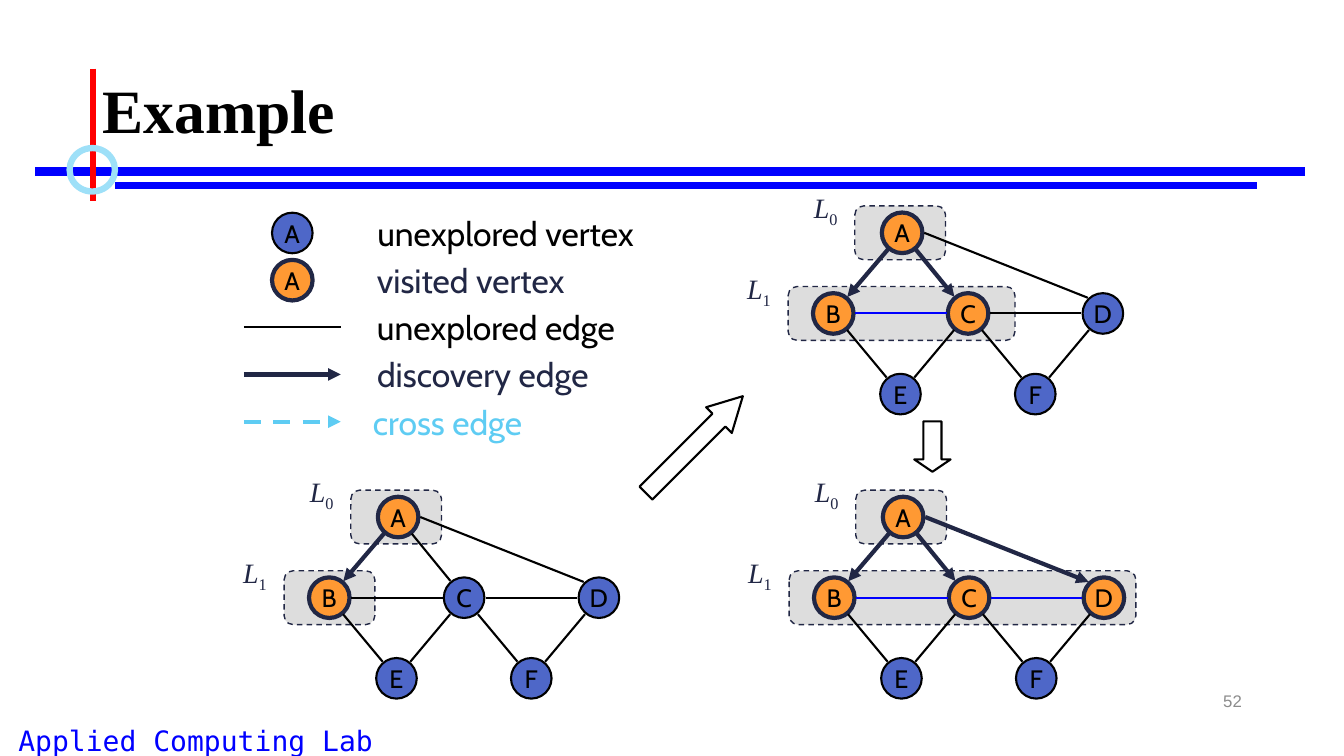
from dataclasses import dataclass
from math import hypot

from lxml import etree
from pptx import Presentation
from pptx.dml.color import RGBColor
from pptx.enum.dml import MSO_LINE
from pptx.enum.shapes import MSO_CONNECTOR, MSO_SHAPE
from pptx.enum.text import MSO_ANCHOR, PP_ALIGN
from pptx.oxml.ns import qn
from pptx.util import Pt

STRAIGHT = MSO_CONNECTOR.STRAIGHT
OVAL, ROUNDED = MSO_SHAPE.OVAL, MSO_SHAPE.ROUNDED_RECTANGLE
RIGHT_ARROW = MSO_SHAPE.RIGHT_ARROW
DASH = MSO_LINE.DASH
TOP, MIDDLE = MSO_ANCHOR.TOP, MSO_ANCHOR.MIDDLE
LEFT, CENTER, RIGHT = PP_ALIGN.LEFT, PP_ALIGN.CENTER, PP_ALIGN.RIGHT

BLACK, NAVY, BLUE, RED = "000000", "212745", "0000FF", "FF0000"
INDIGO, ORANGE, GRAY, SKY = "4E67C8", "FF9933", "DDDDDD", "5ECCF3"
SERIF, SANS = "Times New Roman", "Cabin"


@dataclass(frozen=True)
class Stroke:
    color: str
    width: float
    dashed: bool = False
    arrow: bool = False


@dataclass(frozen=True)
class LegendRow:
    text: str
    left: float
    width: float
    color: str


@dataclass(frozen=True)
class Graph:
    """One search step, placed by the centre of vertex A."""
    x: float
    y: float
    visited: str
    discovery: tuple[str, ...]
    same_level: tuple[str, ...]
    level_one_width: float


UNEXPLORED = Stroke(BLACK, 1.5)
DISCOVERY = Stroke(NAVY, 3, arrow=True)
CROSS = Stroke(SKY, 3, dashed=True, arrow=True)
SAME_LEVEL = Stroke(BLUE, 1.5)
LEVEL_BORDER = Stroke(NAVY, 1, dashed=True)

DIAMETER = 29
EDGE_GAP = 15.4
LEVEL_STEP = 57.6
VERTICES = {
    "A": (0, 0),
    "B": (-49.2, LEVEL_STEP), "C": (47.1, LEVEL_STEP), "D": (143.4, LEVEL_STEP),
    "E": (-1.2, 2 * LEVEL_STEP), "F": (95.1, 2 * LEVEL_STEP),
}
EDGES = ("AB", "AC", "AD", "BC", "CD", "BE", "CE", "CF", "DF")
LEVEL_LEFTS = (-33.8, -81.4)
LEVEL_ZERO_WIDTH, LEVEL_HEIGHT = 64.8, 38.4

GRAPHS = (
    Graph(284.4, 369.3, "AB", ("AB",), (), 64.8),
    Graph(644.4, 166.3, "ABC", ("AB", "AC"), ("BC",), 162),
    Graph(645.1, 369.3, "ABCD", ("AB", "AC", "AD"), ("BC", "CD"), 247.7),
)
LEGEND = (
    LegendRow("unexplored vertex", 258.5, 205.2, BLACK),
    LegendRow("visited vertex", 258.5, 155.5, NAVY),
    LegendRow("unexplored edge", 258.5, 191.5, BLACK),
    LegendRow("discovery edge", 258.5, 172.8, NAVY),
    LegendRow("cross edge", 255.6, 128.2, SKY),
)
LEGEND_TOP, LEGEND_STEP = 166.4, 33.7


def rgb(color: str) -> RGBColor:
    return RGBColor.from_string(color)


def set_line(line, stroke: Stroke) -> None:
    line.color.rgb = rgb(stroke.color)
    line.width = Pt(stroke.width)
    if stroke.dashed:
        line.dash_style = DASH


def add_run(paragraph, text: str, size: float, font: str, color: str):
    run = paragraph.add_run()
    run.text = text
    run.font.size = Pt(size)
    run.font.name = font
    run.font.color.rgb = rgb(color)
    return run


def add_text(slide, left: float, top: float, width: float, height: float,
             align: PP_ALIGN = CENTER, anchor: MSO_ANCHOR = TOP, wrap: bool = True):
    frame = slide.shapes.add_textbox(Pt(left), Pt(top), Pt(width), Pt(height)).text_frame
    frame.word_wrap = wrap
    frame.vertical_anchor = anchor
    frame.paragraphs[0].alignment = align
    return frame.paragraphs[0]


def add_line(slide, x1: float, y1: float, x2: float, y2: float, stroke: Stroke) -> None:
    connector = slide.shapes.add_connector(STRAIGHT, Pt(x1), Pt(y1), Pt(x2), Pt(y2))
    set_line(connector.line, stroke)
    if stroke.arrow:
        etree.SubElement(connector.line._get_or_add_ln(), qn("a:tailEnd"), type="triangle")
    etree.SubElement(connector._element.spPr, qn("a:effectLst"))


def add_shape(slide, kind: MSO_SHAPE, left: float, top: float, width: float,
              height: float, stroke: Stroke, fill: str | None = None):
    shape = slide.shapes.add_shape(kind, Pt(left), Pt(top), Pt(width), Pt(height))
    shape.shadow.inherit = False
    set_line(shape.line, stroke)
    if fill:
        shape.fill.solid()
        shape.fill.fore_color.rgb = rgb(fill)
    else:
        shape.fill.background()
    return shape


def add_vertex(slide, letter: str, x: float, y: float, visited: bool) -> None:
    stroke = Stroke(NAVY, 3) if visited else UNEXPLORED
    shape = add_shape(slide, OVAL, x - DIAMETER / 2, y - DIAMETER / 2, DIAMETER,
                      DIAMETER, stroke, ORANGE if visited else INDIGO)
    frame = shape.text_frame
    frame.word_wrap = False
    frame.vertical_anchor = MIDDLE
    frame.paragraphs[0].alignment = CENTER
    add_run(frame.paragraphs[0], letter, 18, SANS, BLACK)


def add_edge(slide, graph: Graph, edge: str, stroke: Stroke) -> None:
    (x1, y1), (x2, y2) = (VERTICES[letter] for letter in edge)
    length = hypot(x2 - x1, y2 - y1)
    dx, dy = (x2 - x1) / length * EDGE_GAP, (y2 - y1) / length * EDGE_GAP
    start, end = (x1 + dx, y1 + dy), (x2 - dx, y2 - dy)
    if edge == "AD":  # leaves A sideways and meets D at its upper left
        start, end = (x1 + 15.8, y1), (x2 - 10.8, y2 - 11.2)
    add_line(slide, graph.x + start[0], graph.y + start[1],
             graph.x + end[0], graph.y + end[1], stroke)


def add_graph(slide, graph: Graph) -> None:
    # Level boxes and their labels
    widths = (LEVEL_ZERO_WIDTH, graph.level_one_width)
    for level, (offset, width) in enumerate(zip(LEVEL_LEFTS, widths)):
        left = graph.x + offset
        top = graph.y + level * LEVEL_STEP - LEVEL_HEIGHT / 2
        add_shape(slide, ROUNDED, left, top, width, LEVEL_HEIGHT, LEVEL_BORDER, GRAY)
        label = add_text(slide, left - 39.2, top - 14.4, 36.7, 31)
        add_run(label, "L", 20, SERIF, NAVY).font.italic = True
        subscript = add_run(label, str(level), 20, SERIF, NAVY)
        subscript._r.get_or_add_rPr().set("baseline", "-25000")
    # Vertices and edges
    for letter, (x, y) in VERTICES.items():
        add_vertex(slide, letter, graph.x + x, graph.y + y, letter in graph.visited)
    for edge in EDGES:
        stroke = (DISCOVERY if edge in graph.discovery
                  else SAME_LEVEL if edge in graph.same_level else UNEXPLORED)
        add_edge(slide, graph, edge, stroke)


def add_legend(slide) -> None:
    line_samples = (UNEXPLORED, DISCOVERY, CROSS)
    for index, row in enumerate(LEGEND):
        y = LEGEND_TOP + index * LEGEND_STEP
        if index < 2:
            add_vertex(slide, "A", 208.8, y, visited=index == 1)
        else:
            add_line(slide, 174.2, y, 243.4, y, line_samples[index - 2])
        paragraph = add_text(slide, row.left, y - 18, row.width, 36, wrap=False)
        add_run(paragraph, row.text, 24, SANS, row.color)


def add_frame(slide) -> None:
    # Decorative rules, footer and page number
    add_line(slide, 25.2, 122.4, 932.4, 122.4, Stroke(BLUE, 6))
    add_line(slide, 82.1, 132.5, 897.8, 132.5, Stroke(BLUE, 4.5))
    add_line(slide, 66.2, 49, 66.2, 143.3, Stroke(RED, 4.5))
    add_shape(slide, OVAL, 49.7, 105.8, 32.4, 31, Stroke("9EE0F8", 4.5))
    footer = add_text(slide, 0, 513.4, 279.4, 26)
    add_run(footer, "Applied Computing Lab", 20, "DejaVu Sans Mono", BLUE)
    number = add_text(slide, 678.2, 486, 216, 28.8, RIGHT, MIDDLE)
    add_run(number, "52", 12, "Arial", "8C8C8C")


def add_title(slide) -> None:
    title = slide.shapes.title
    title.left, title.top, title.width, title.height = Pt(66.2), Pt(28.8), Pt(828), Pt(104.4)
    title.text_frame.vertical_anchor = MIDDLE
    paragraph = title.text_frame.paragraphs[0]
    paragraph.alignment = LEFT
    paragraph.line_spacing = 0.9
    add_run(paragraph, "Example", 44, SERIF, BLACK).font.bold = True


def add_step_arrow(slide, left: float, top: float, width: float, angle: float, head: float) -> None:
    arrow = add_shape(slide, RIGHT_ARROW, left, top, width, 26, UNEXPLORED)
    arrow.rotation = angle
    arrow.adjustments[1] = head


def main() -> None:
    presentation = Presentation()
    presentation.slide_width, presentation.slide_height = Pt(960), Pt(540)
    slide = presentation.slides.add_slide(presentation.slide_layouts[5])
    add_frame(slide)
    add_title(slide)
    add_legend(slide)
    add_step_arrow(slide, 648, 306, 36, 90, 0.34)
    add_step_arrow(slide, 447.1, 304.6, 97.9, 315, 0.93)
    for graph in GRAPHS:
        add_graph(slide, graph)
    presentation.save("out.pptx")


if __name__ == "__main__":
    main()
